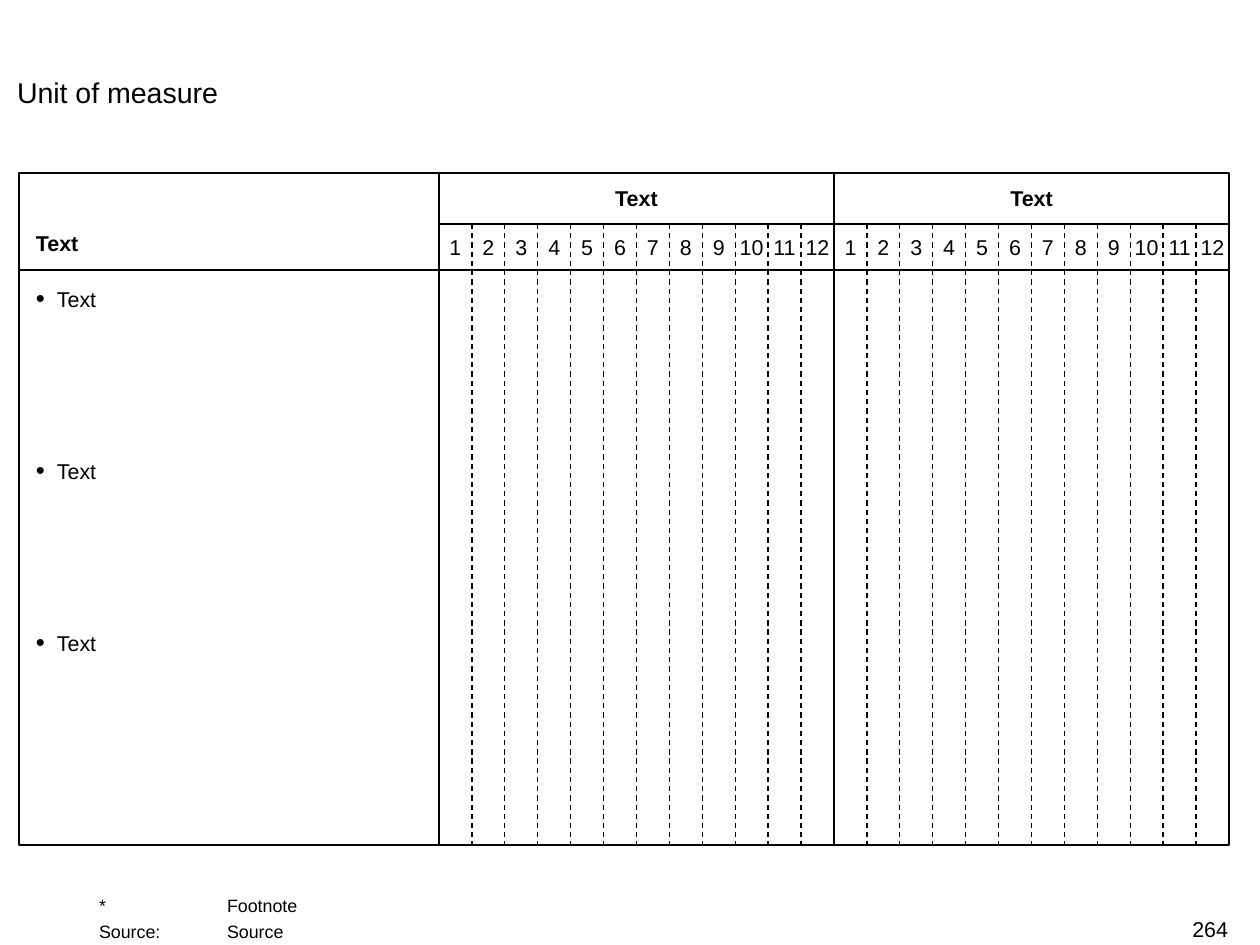
import pptx
import pptx.dml.color
import pptx.enum.dml
import pptx.enum.shapes
import pptx.enum.text
import pptx.oxml
import pptx.util
import lxml.etree

ALIGN = pptx.enum.text.PP_ALIGN
ANCHOR = pptx.enum.text.MSO_ANCHOR

TITLE = "Unit of measure"
ROW_HEADING = "Text"
ROWS = ["Text", "Text", "Text"]
GROUPS = ["Text", "Text"]
MONTHS = [str(month) for month in range(1, 13)]
FOOTNOTES = ["\t*\tFootnote", "\tSource:\tSource"]
PAGE_NUMBER = "264"

FONT = "Arial"
BLACK = "000000"
SCALE = 7110
SLIDE_WIDTH, SLIDE_HEIGHT = 1260, 945
LEFT, TOP, RIGHT, BOTTOM = 19, 173, 1229, 845
GRID_LEFT, GROUP_RULE, HEADER_RULE = 439, 224, 270
TEXT_LEFT, TEXT_WIDTH, TEXT_HEIGHT = 36, 346, 26
FIRST_ROW, ROW_PITCH = 286, 172
BULLET_INDENT = 21
FOOTNOTE_TABS = [81, 209]


def px(length):
    return pptx.util.Emu(round(length * SCALE))


def color(value):
    return pptx.dml.color.RGBColor.from_string(value)


def add_element(parent, tag, **attributes):
    element = lxml.etree.SubElement(parent, pptx.oxml.ns.qn(tag))
    for name, value in attributes.items():
        element.set(name, str(value))
    return element


def place(shape, left, top, width, height):
    shape.left, shape.top = px(left), px(top)
    shape.width, shape.height = px(width), px(height)


def write(shape, lines, size=12, bold=False, align=ALIGN.LEFT, anchor=ANCHOR.TOP,
          bullet=False, tabs=(), space=0):
    frame = shape.text_frame
    frame.word_wrap = True
    frame.auto_size = pptx.enum.text.MSO_AUTO_SIZE.NONE
    frame.vertical_anchor = anchor
    frame.margin_left = frame.margin_right = frame.margin_top = frame.margin_bottom = 0
    for index, line in enumerate(lines):
        paragraph = frame.add_paragraph() if index else frame.paragraphs[0]
        paragraph.add_run().text = line
        paragraph.alignment = align
        if index:
            paragraph.space_before = pptx.util.Pt(space)
        properties = paragraph._p.get_or_add_pPr()
        if bullet:
            properties.set("marL", str(px(BULLET_INDENT)))
            properties.set("indent", str(-px(BULLET_INDENT)))
            add_element(properties, "a:buSzPct", val=120000)
            add_element(properties, "a:buFont", typeface=FONT)
            add_element(properties, "a:buChar", char="•")
        if tabs:
            tab_list = add_element(properties, "a:tabLst")
            for tab in tabs:
                add_element(tab_list, "a:tab", pos=px(tab), algn="l")
        paragraph.font.name = FONT
        paragraph.font.size = pptx.util.Pt(size)
        paragraph.font.bold = bold
        paragraph.font.color.rgb = color(BLACK)


def add_text(slide, lines, left, top, width, height=TEXT_HEIGHT, **style):
    shape = slide.shapes.add_textbox(px(left), px(top), px(width), px(height))
    write(shape, lines, **style)


def add_rule(slide, left, top, right, bottom, dashed=False):
    connector = slide.shapes.add_connector(
        pptx.enum.shapes.MSO_CONNECTOR.STRAIGHT, px(left), px(top), px(right), px(bottom))
    connector.line.color.rgb = color(BLACK)
    connector.line.width = pptx.util.Pt(0.75)
    if dashed:
        connector.line.dash_style = pptx.enum.dml.MSO_LINE.DASH
    add_element(connector._element.spPr, "a:effectLst")


def add_frame(slide):
    frame = slide.shapes.add_shape(
        pptx.enum.shapes.MSO_SHAPE.RECTANGLE,
        px(LEFT), px(TOP), px(RIGHT - LEFT), px(BOTTOM - TOP))
    frame.shadow.inherit = False
    frame.fill.background()
    frame.line.color.rgb = color(BLACK)
    frame.line.width = pptx.util.Pt(1.5)
    add_rule(slide, LEFT, HEADER_RULE, RIGHT, HEADER_RULE)


def add_group(slide, heading, left, width):
    add_rule(slide, left, GROUP_RULE, left + width, GROUP_RULE)
    add_rule(slide, left, TOP, left, BOTTOM)
    add_text(slide, [heading], left, 185, width, bold=True,
             align=ALIGN.CENTER, anchor=ANCHOR.BOTTOM)
    pitch = width / len(MONTHS)
    for index, month in enumerate(MONTHS):
        column = left + index * pitch
        if index:
            add_rule(slide, column, GROUP_RULE, column, BOTTOM, dashed=True)
        add_text(slide, [month], column, 234, pitch,
                 align=ALIGN.CENTER, anchor=ANCHOR.BOTTOM)


def main():
    presentation = pptx.Presentation()
    presentation.slide_width, presentation.slide_height = px(SLIDE_WIDTH), px(SLIDE_HEIGHT)
    slide = presentation.slides.add_slide(presentation.slide_layouts[5])

    title = slide.shapes.title
    place(title, 17, 75, 1213, 35)
    write(title, [TITLE], size=16)

    add_frame(slide)
    add_text(slide, [ROW_HEADING], TEXT_LEFT, 230, TEXT_WIDTH, bold=True, anchor=ANCHOR.BOTTOM)
    for index, row in enumerate(ROWS):
        add_text(slide, [row], TEXT_LEFT, FIRST_ROW + index * ROW_PITCH, TEXT_WIDTH, bullet=True)

    group_width = (RIGHT - GRID_LEFT) / len(GROUPS)
    for index, heading in enumerate(GROUPS):
        add_group(slide, heading, GRID_LEFT + index * group_width, group_width)

    add_text(slide, FOOTNOTES, 18, 894, 1148, 48, size=10, anchor=ANCHOR.BOTTOM,
             tabs=FOOTNOTE_TABS, space=2.5)
    add_text(slide, [PAGE_NUMBER], 966, 916, 262, align=ALIGN.RIGHT)
    presentation.save("out.pptx")


if __name__ == "__main__":
    main()
